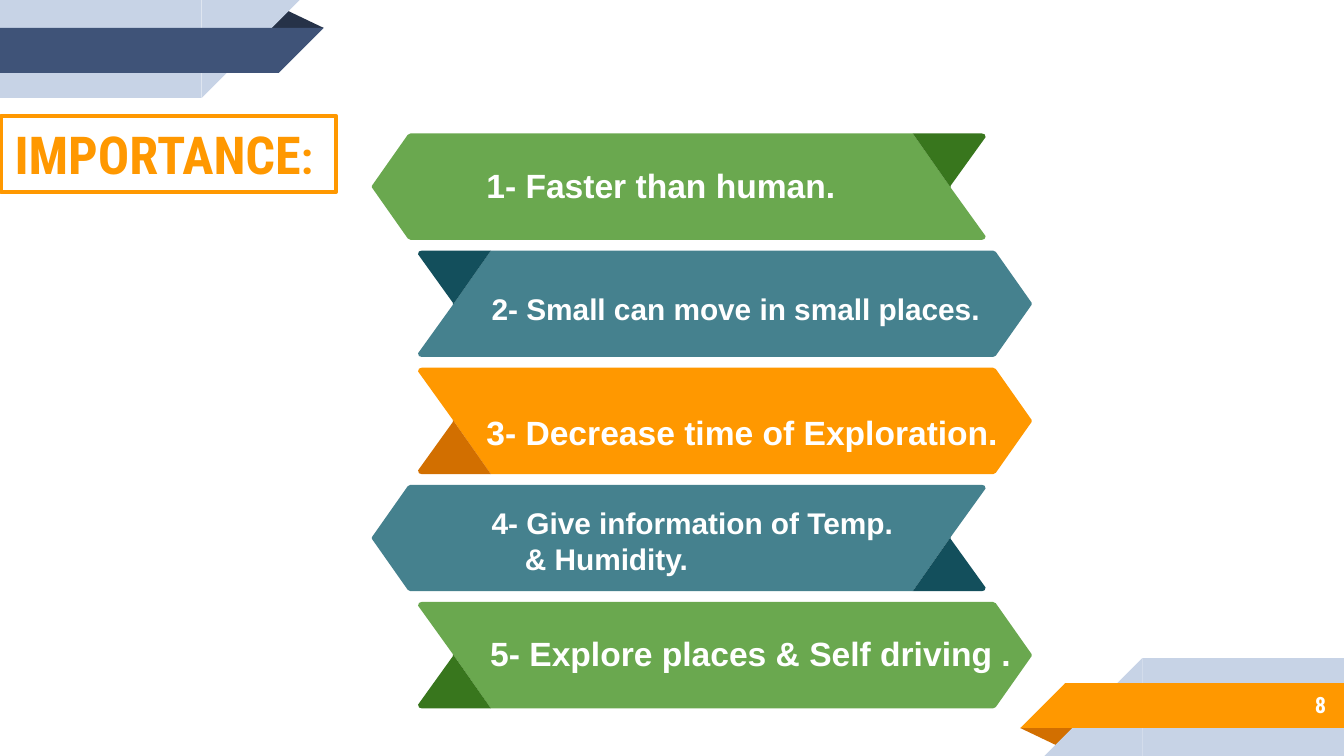
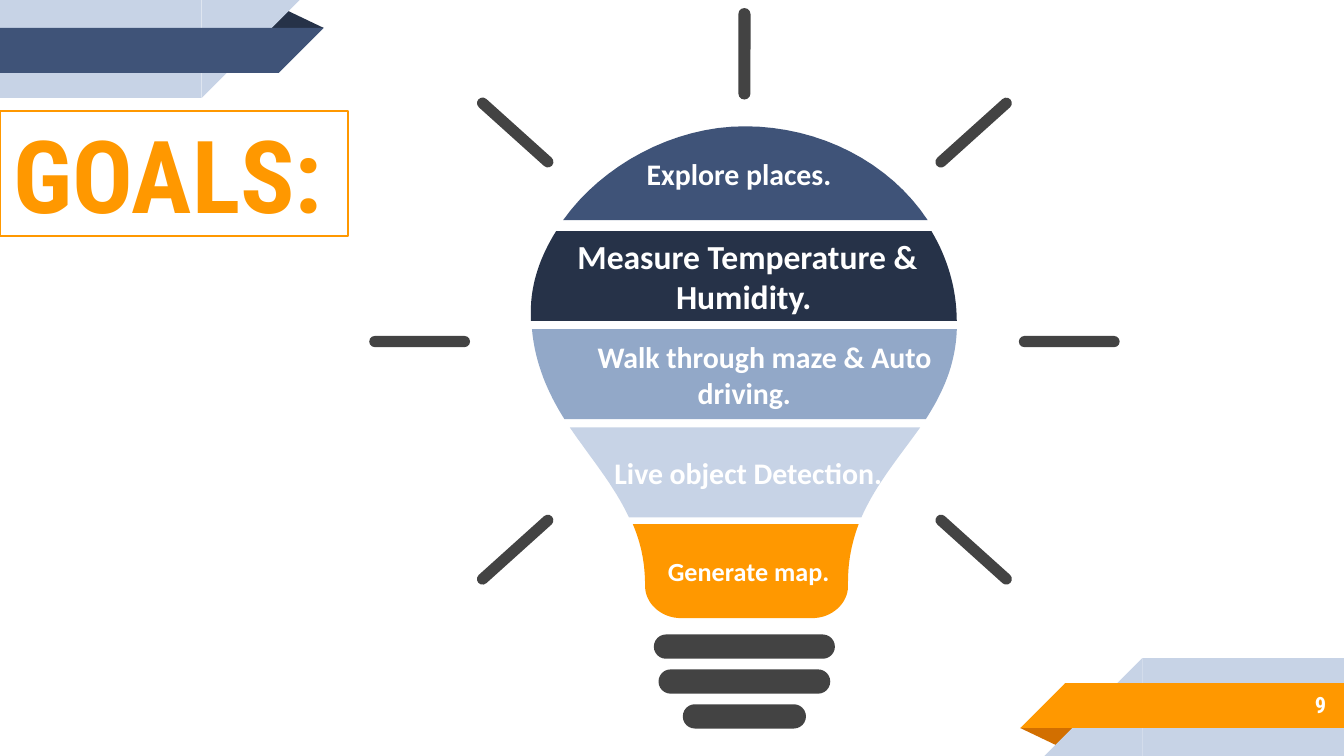
import pptx
import pptx.dml.color
import pptx.enum.shapes
import pptx.enum.text
import pptx.util

Pt = pptx.util.Pt
RGB = pptx.dml.color.RGBColor
KIND = pptx.enum.shapes.MSO_SHAPE
ALIGN = pptx.enum.text.PP_ALIGN
ANCHOR = pptx.enum.text.MSO_ANCHOR

WHITE = RGB(0xFF, 0xFF, 0xFF)
ORANGE = RGB(0xFF, 0x98, 0x00)
RUST = RGB(0xD2, 0x6F, 0x00)
NAVY = RGB(0x3F, 0x53, 0x78)
INK = RGB(0x26, 0x32, 0x48)
STEEL = RGB(0x92, 0xA8, 0xC8)
PALE = RGB(0xC7, 0xD3, 0xE6)
GREEN = RGB(0x6A, 0xA8, 0x4F)
MOSS = RGB(0x38, 0x76, 0x1D)
TEAL = RGB(0x45, 0x81, 0x8E)
DEEP = RGB(0x13, 0x4F, 0x5C)
GREY = RGB(0x43, 0x43, 0x43)

WIDE, HIGH = 720, 405
HEAD = "Roboto Condensed"

# Ribbon pointing right with its fold at the lower left
BAND_W, BAND_H = 329, 57
BAND = [(2, 0), (308, 0), (309.5, 0.7), (328.7, 28), (328.7, 29),
        (309.5, 56.3), (308, 57), (39, 57), (18.7, 28), (0, 2), (0.5, 0.5)]
FOLD = [(18.7, 28), (18.7, 29), (0, 55), (0.5, 56.5), (2, 57), (39, 57)]


def curve(start, parts):
    """Turn line ends (2 values) and cubic curves (6 values) into points."""
    dots = [start]
    for part in parts:
        if len(part) == 2:
            dots.append(part)
            continue
        x0, y0 = dots[-1]
        x1, y1, x2, y2, x3, y3 = part
        for step in range(1, 17):
            t = step / 16
            u = 1 - t
            a, b, c, d = u ** 3, 3 * u * u * t, 3 * u * t * t, t ** 3
            dots.append((a * x0 + b * x1 + c * x2 + d * x3,
                         a * y0 + b * y1 + c * y2 + d * y3))
    return dots


class Deck:
    """Holds the show, the shared style and the current slide."""

    def __init__(self):
        self.show = pptx.Presentation()
        self.show.slide_width = Pt(WIDE)
        self.show.slide_height = Pt(HIGH)
        self.slide = None

    def start(self, number):
        self.slide = self.show.slides.add_slide(self.show.slide_layouts[6])
        self.corner(NAVY, INK)
        self.corner(ORANGE, RUST, True)
        self.label(str(number), (600, 365, 117.5, 25), inset=(7.2, 7.2),
                   anchor=ANCHOR.MIDDLE, align=ALIGN.RIGHT, size=12, name=HEAD)

    def corner(self, main, dark, turned=False):
        """Stripes of the top left corner, or turned into the bottom right."""
        parts = [(KIND.ISOSCELES_TRIANGLE, (142.5, 5, 31, 10), 0, dark),
                 (KIND.RECTANGLE, (0, 0, 108, 52.5), 0, PALE),
                 (KIND.RIGHT_TRIANGLE, (108, 0, 52.5, 52.5), 90, PALE),
                 (KIND.RECTANGLE, (0, 15, 149.5, 24), 0, main),
                 (KIND.RIGHT_TRIANGLE, (149.3, 15, 24, 24), 90, main)]
        for kind, (x, y, w, h), turn, fill in parts:
            if turned:
                x, y, turn = WIDE - x - w, HIGH - y - h, turn + 180
            item = self.shape(kind, (x, y, w, h), fill, turn)
            if kind == KIND.ISOSCELES_TRIANGLE:
                item.adjustments[0] = 0.324

    def paint(self, item, fill):
        item.shadow.inherit = False
        item.fill.solid()
        item.fill.fore_color.rgb = fill
        item.line.fill.background()
        return item

    def shape(self, kind, box, fill, turn=0):
        item = self.slide.shapes.add_shape(kind, *map(Pt, box))
        item.rotation = turn
        return self.paint(item, fill)

    def pill(self, mid, y, w, h, turn=0):
        """Round-ended bar centred on mid, y."""
        item = self.shape(KIND.ROUNDED_RECTANGLE,
                          (mid - w / 2, y - h / 2, w, h), GREY, turn)
        item.adjustments[0] = 0.5

    def outline(self, dots, fill):
        first, *rest = [(Pt(x), Pt(y)) for x, y in dots]
        pen = self.slide.shapes.build_freeform(*first)
        pen.add_line_segments(rest, close=True)
        return self.paint(pen.convert_to_shape(), fill)

    def ribbon(self, x, y, fill, dark, left, above):
        """Ribbon pointing left or right, its fold above or below."""
        for dots, tone in ((BAND, fill), (FOLD, dark)):
            self.outline([(x + (BAND_W - a if left else a),
                           y + (BAND_H - b if above else b))
                          for a, b in dots], tone)

    def letter(self, item, lines, inset=(7.2, 3.6), anchor=ANCHOR.TOP,
               align=ALIGN.LEFT, indent=0, color=WHITE, **font):
        """Fill an item with lines; the last line takes the indent."""
        frame = item.text_frame
        side, edge = map(Pt, inset)
        form = {"word_wrap": True, "vertical_anchor": anchor,
                "margin_left": side, "margin_right": side,
                "margin_top": edge, "margin_bottom": edge}
        for key, value in form.items():
            setattr(frame, key, value)
        lines = lines.split("\n")
        for i, line in enumerate(lines):
            para = frame.add_paragraph() if i else frame.paragraphs[0]
            para.alignment = align
            if indent and i == len(lines) - 1:
                props = para._p.get_or_add_pPr()
                props.set("marL", "0")
                props.set("indent", str(Pt(indent)))
            self.piece(para, line, color, **font)
        return frame

    def piece(self, para, text, color, size, name):
        """Add one run of bold text to a paragraph."""
        run = para.add_run()
        run.text = text
        form = {"size": Pt(size), "name": name, "bold": True}
        for key, value in form.items():
            setattr(run.font, key, value)
        run.font.color.rgb = color

    def label(self, text, box, **form):
        item = self.slide.shapes.add_textbox(*map(Pt, box))
        self.letter(item, text, **form)

    def title(self, text, box, size, line, **form):
        item = self.shape(KIND.RECTANGLE, box, WHITE)
        item.line.color.rgb = ORANGE
        item.line.width = Pt(line)
        return self.letter(item, text, size=size, name=HEAD, color=ORANGE,
                           **form)


def points(deck):
    deck.start(8)
    frame = deck.title("IMPORTANCE", (0.7, 62, 179.3, 41), 28, 2)
    deck.piece(frame.paragraphs[0], ":", ORANGE, 24, HEAD)

    green, teal, orange = (GREEN, MOSS), (TEAL, DEEP), (ORANGE, RUST)
    rows = [
        ("1- Faster than human.", 18, (253.5, 85, 213, 29), green, True, True),
        ("2- Small can move in small places.", 16, (256.3, 152, 292, 26.5),
         teal, False, True),
        ("3- Decrease time of Exploration.", 18, (253.5, 217, 296, 29),
         orange, False, False),
        ("4- Give information of Temp.\n& Humidity.", 16, (256.3, 267, 248, 46),
         teal, True, False),
        ("5- Explore places & Self driving .", 18, (243.4, 335.5, 317.5, 29),
         green, False, False)]
    for i, (text, size, box, tones, left, above) in enumerate(rows):
        deck.ribbon(199 if left else 224, 71.5 + 62.75 * i, *tones, left, above)
        deck.label(text, box, size=size, name="Arial",
                   indent=17.8 if "\n" in text else 0,
                   align=ALIGN.CENTER if i == 4 else ALIGN.LEFT)


def goals(deck):
    deck.start(9)
    deck.title("GOALS:", (0, 59.5, 186.5, 67), 54, 1.5,
               inset=(7.2, 7.2), anchor=ANCHOR.MIDDLE)

    slices = [
        ("Explore places.", 16, 39.8, NAVY, (497, 118),
         [(476.6, 87, 439.2, 67.7, 399, 67.7),
          (360.7, 67.7, 322.6, 88.6, 301.7, 118)]),
        ("Measure Temperature & Humidity.", 18, 4, INK, (512.6, 172),
         [(512.6, 154.8, 507.6, 138.2, 499, 123.8), (298, 123.8),
          (289.4, 137.5, 284.4, 152, 284.4, 167), (284.4, 172)]),
        ("Walk through maze & Auto driving.", 16, 21.7, STEEL, (285, 176.4),
         [(286.6, 195, 293.8, 211, 302.4, 224.6), (496, 224.6),
          (504.7, 211, 512, 195.8, 512.6, 176.4)]),
        ("Live object Detection.", 16, 3.6, PALE, (493, 229),
         [(305.3, 229), (316, 244.8, 329, 260, 337, 277.2), (461.5, 277.2),
          (469.4, 259.2, 482.4, 244, 493, 229)]),
        ("Generate map.", 14, 3.2, ORANGE, (339, 280.8),
         [(343.4, 291, 345.6, 301.7, 345.6, 314),
          (345.6, 323.3, 354.2, 331.2, 365, 331.2), (435, 331.2),
          (445.7, 331.2, 454.3, 323.3, 454.3, 314), (454.3, 311.8),
          (454.3, 300.2, 456.5, 290.2, 460, 280.8)])]
    for text, size, indent, fill, first, parts in slices:
        item = deck.outline(curve(first, parts), fill)
        deck.letter(item, text, inset=(5, 3), anchor=ANCHOR.MIDDLE,
                    align=ALIGN.LEFT if fill == NAVY else ALIGN.CENTER,
                    indent=indent, size=size, name="Calibri")

    mid = 398.8
    deck.pill(mid, 28.8, 49, 6.5, 90)
    for side in (-1, 1):
        deck.pill(mid + 174 * side, 183, 54, 6)
        deck.pill(mid + 122.8 * side, 71, 53, 6, -42 * side)
        deck.pill(mid + 122.8 * side, 294.5, 53, 6, 42 * side)
    for i, w in enumerate((97, 92, 66)):
        deck.pill(mid, 346.4 + 18.7 * i, w, 13)


def main():
    deck = Deck()
    points(deck)
    goals(deck)
    deck.show.save("out.pptx")


if __name__ == "__main__":
    main()
